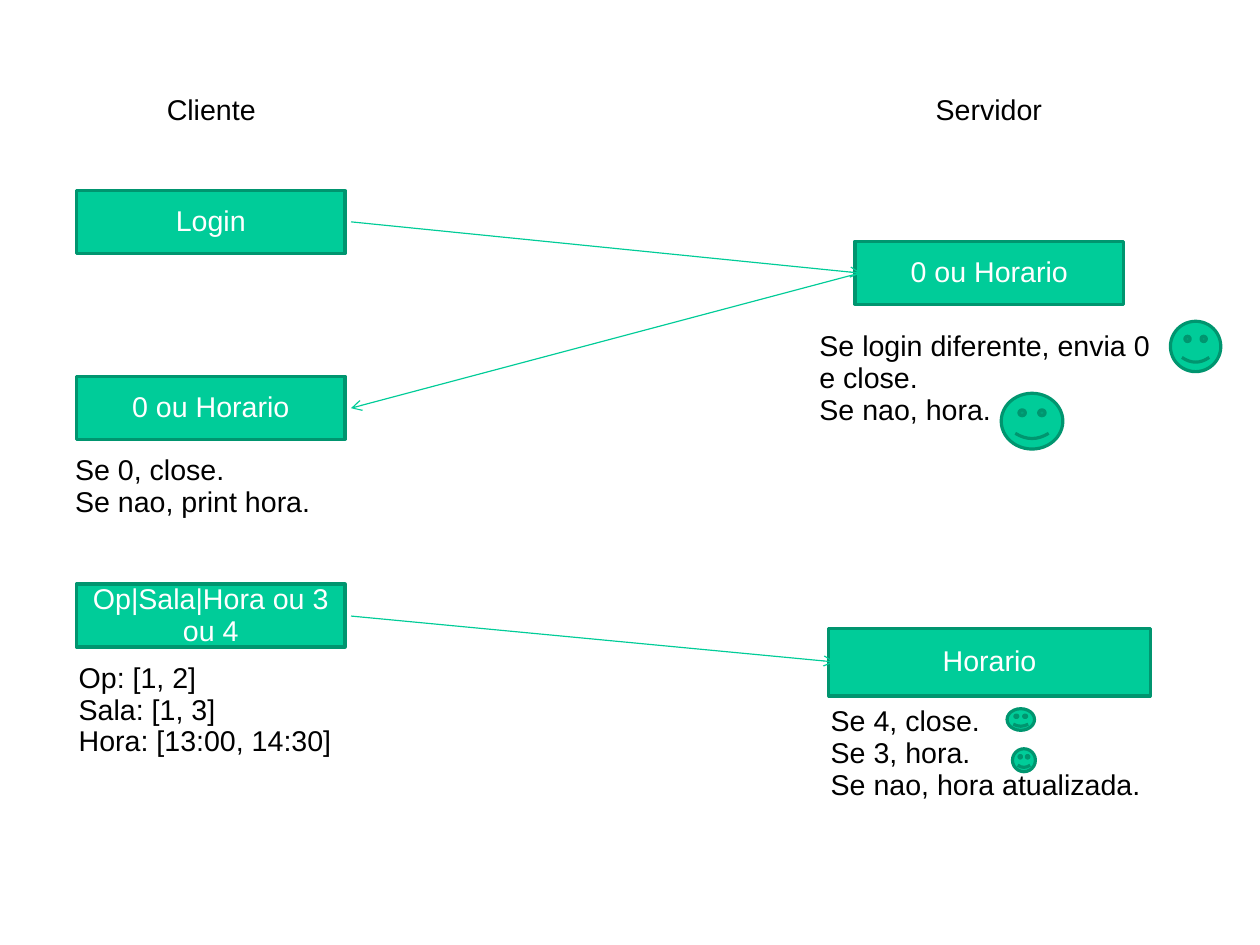
import pptx
import pptx.dml.color
import pptx.enum.shapes
import pptx.enum.text
import pptx.oxml
import pptx.oxml.ns
import pptx.util

Cm = pptx.util.Cm
Pt = pptx.util.Pt
Shapes = pptx.enum.shapes.MSO_SHAPE
Align = pptx.enum.text.PP_ALIGN
Anchor = pptx.enum.text.MSO_ANCHOR


def color(value):
    return pptx.dml.color.RGBColor.from_string(value)


class ProtocolPage:
    font = "Arial"
    size = 18
    spacing = 0.93
    ink = "000000"
    light = "FFFFFF"
    green = "00CC99"
    border = "00956F"
    arrow_green = "00CC98"

    def __init__(self, page):
        self.page = page

    def fill_text(self, shape, lines, ink, align):
        frame = shape.text_frame
        frame.word_wrap = True
        frame.text = "\n".join(lines)
        for para in frame.paragraphs:
            para.alignment = align
            para.line_spacing = self.spacing
            para.font.name = self.font
            para.font.size = Pt(self.size)
            para.font.color.rgb = color(ink)

    def text(self, left, top, width, height, lines, align=Align.LEFT):
        box = self.page.shapes.add_textbox(Cm(left), Cm(top), Cm(width), Cm(height))
        self.fill_text(box, lines, self.ink, align)

    def shape(self, kind, left, top, width, height):
        shape = self.page.shapes.add_shape(kind, Cm(left), Cm(top), Cm(width), Cm(height))
        shape.shadow.inherit = False
        shape.fill.solid()
        shape.fill.fore_color.rgb = color(self.green)
        shape.line.color.rgb = color(self.border)
        shape.line.width = Pt(2)
        return shape

    def message(self, left, top, label, width=5.97, height=1.4):
        box = self.shape(Shapes.RECTANGLE, left, top, width, height)
        self.fill_text(box, [label], self.light, Align.CENTER)
        box.text_frame.vertical_anchor = Anchor.MIDDLE

    def smiley(self, left, top, width, height):
        self.shape(Shapes.SMILEY_FACE, left, top, width, height)

    def arrow(self, start_x, start_y, end_x, end_y):
        line = self.page.shapes.add_connector(
            pptx.enum.shapes.MSO_CONNECTOR.STRAIGHT,
            Cm(start_x), Cm(start_y), Cm(end_x), Cm(end_y))
        line.line.color.rgb = color(self.arrow_green)
        line.line.width = Pt(0.75)
        namespace = pptx.oxml.ns.nsdecls("a")
        properties = line._element.spPr
        head = pptx.oxml.parse_xml(f'<a:tailEnd {namespace} type="arrow"/>')
        properties.get_or_add_ln().append(head)
        properties.append(pptx.oxml.parse_xml(f"<a:effectLst {namespace}/>"))


def main():
    deck = pptx.Presentation()
    deck.slide_width = Cm(28)
    deck.slide_height = Cm(21)
    protocol = ProtocolPage(deck.slides.add_slide(deck.slide_layouts[6]))

    for left, heading in [(1.47, "Cliente"), (18.75, "Servidor")]:
        protocol.text(left, 1.98, 6.45, 0.97, [heading], Align.CENTER)

    client_left = 1.7
    protocol.message(client_left, 4.24, "Login")
    protocol.message(19, 5.36, "0 ou Horario")
    protocol.message(client_left, 8.36, "0 ou Horario")
    protocol.message(client_left, 12.98, "Op|Sala|Hora ou 3 ou 4")
    protocol.message(18.42, 13.97, "Horario", 7.14, 1.5)

    client_edge = 7.8
    protocol.arrow(client_edge, 4.93, 19.13, 6.07)
    protocol.arrow(19.1, 6.07, client_edge, 9.07)
    protocol.arrow(client_edge, 13.69, 18.54, 14.71)

    protocol.text(1.42, 9.98, 6.53, 1.68, ["Se 0, close.", "Se nao, print hora."])
    protocol.text(17.96, 7.24, 8.03, 2.39,
                  ["Se login diferente, envia 0 e close.", "Se nao, hora."])
    protocol.text(1.5, 14.6, 6.4, 2.39,
                  ["Op: [1, 2]", "Sala: [1, 3]", "Hora: [13:00, 14:30]"])
    protocol.text(18.21, 15.57, 7.49, 2.39,
                  ["Se 4, close.", "Se 3, hora.", "Se nao, hora atualizada."])

    protocol.smiley(22.25, 8.74, 1.37, 1.24)
    protocol.smiley(26.01, 7.14, 1.12, 1.12)
    protocol.smiley(22.38, 15.75, 0.61, 0.48)
    protocol.smiley(22.5, 16.64, 0.51, 0.51)

    deck.save("out.pptx")


if __name__ == "__main__":
    main()
